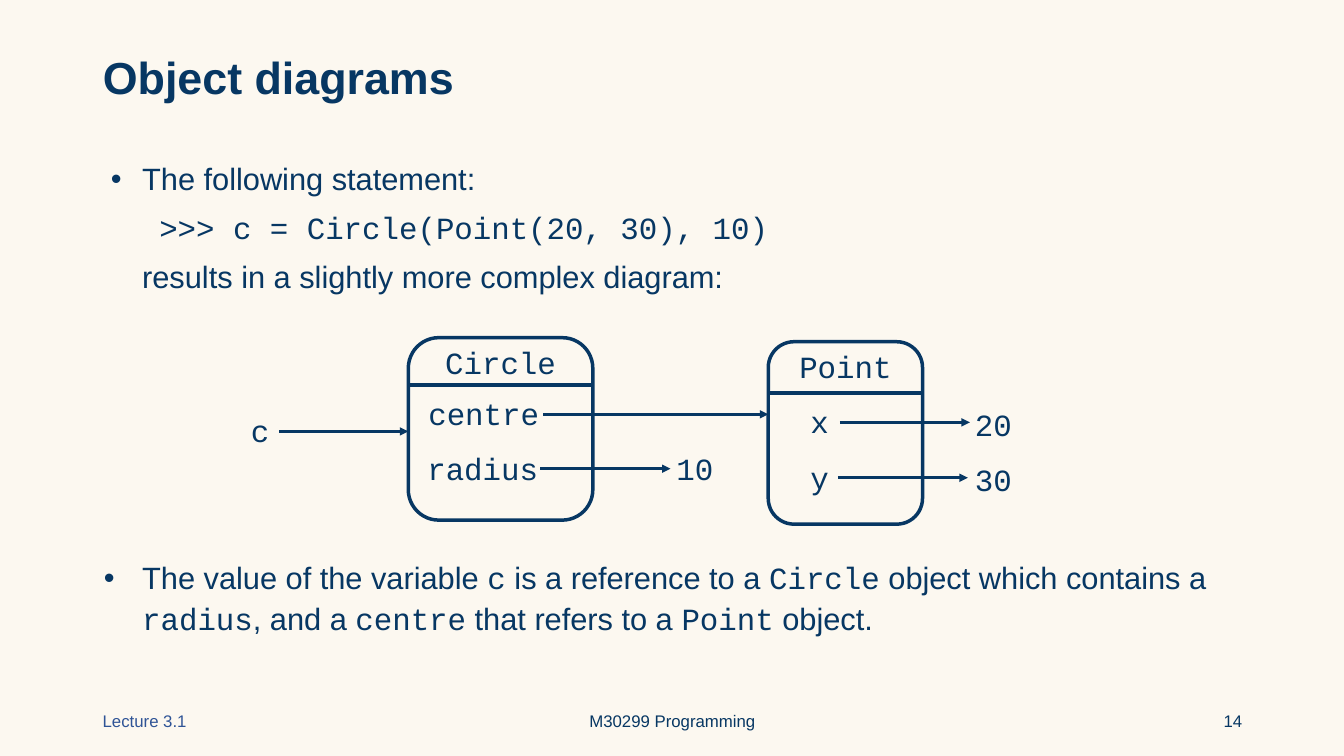
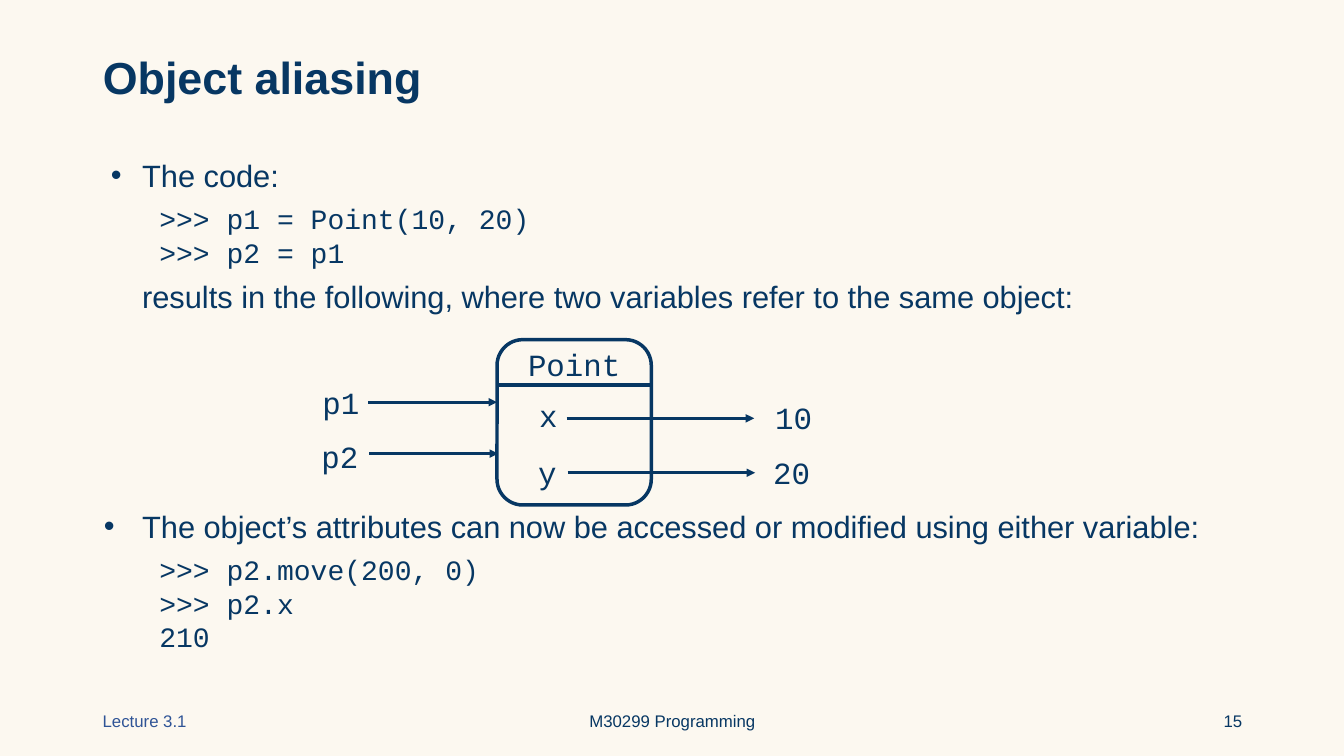
from lxml import etree
from pptx import Presentation
from pptx.dml.color import RGBColor
from pptx.enum.shapes import MSO_CONNECTOR, MSO_SHAPE
from pptx.enum.text import MSO_ANCHOR, MSO_AUTO_SIZE, PP_ALIGN
from pptx.oxml.ns import qn
from pptx.util import Inches, Pt

LEFT, CENTER, RIGHT = PP_ALIGN.LEFT, PP_ALIGN.CENTER, PP_ALIGN.RIGHT
MIDDLE, TOP = MSO_ANCHOR.MIDDLE, MSO_ANCHOR.TOP
NO_AUTOFIT = MSO_AUTO_SIZE.NONE
STRAIGHT = MSO_CONNECTOR.STRAIGHT
ROUNDED = MSO_SHAPE.ROUNDED_RECTANGLE

COLORS = {"background": "FCF8F0", "ink": "073763", "lecture": "2F5496"}
SANS, MONO = "Arial", "Courier New"
BODY_SIZE = 22
MARGIN, CONTENT_WIDTH = 0.92, 11.5
TEXT_INDENT = 0.39
LABEL_HEIGHT = 0.47
BOX_WIDTH = 1.53


def color(name):
    return RGBColor.from_string(COLORS[name])


def place(shape, left, top, width, height):
    shape.left, shape.top = Inches(left), Inches(top)
    shape.width, shape.height = Inches(width), Inches(height)


def style_run(run, size, font=SANS, color_name="ink", bold=False):
    run.font.name = font
    run.font.size = Pt(size)
    run.font.bold = bold
    run.font.color.rgb = color(color_name)


# Shared look: background and placeholder positions
def prepare_layout(presentation):
    fill = presentation.slide_master.background.fill
    fill.solid()
    fill.fore_color.rgb = color("background")
    layout = presentation.slide_layouts[1]
    place(layout.placeholders[0], MARGIN, 0.4, CONTENT_WIDTH, 0.79)
    place(layout.placeholders[1], MARGIN, 1.5, CONTENT_WIDTH, 5.25)
    return layout


def add_text(slide, text, left, top, width, height, size, font=SANS,
             color_name="ink", align=LEFT, anchor=TOP):
    box = slide.shapes.add_textbox(Inches(left), Inches(top),
                                   Inches(width), Inches(height))
    frame = box.text_frame
    frame.word_wrap = True
    frame.vertical_anchor = anchor
    frame.text = text
    paragraph = frame.paragraphs[0]
    paragraph.alignment = align
    style_run(paragraph.runs[0], size, font, color_name)


def add_slide(presentation, layout, title, number):
    slide = presentation.slides.add_slide(layout)
    frame = slide.shapes.title.text_frame
    frame.text = title
    frame.auto_size = NO_AUTOFIT
    frame.vertical_anchor = MIDDLE
    paragraph = frame.paragraphs[0]
    paragraph.alignment = LEFT
    paragraph.line_spacing = 0.9
    style_run(paragraph.runs[0], 32, bold=True)
    # Footer
    for text, left, width, align, color_name in (
            ("Lecture 3.1", MARGIN, 3, LEFT, "lecture"),
            ("M30299 Programming", 4.42, 4.5, CENTER, "ink"),
            (str(number), 9.42, 3, RIGHT, "ink")):
        add_text(slide, text, left, 6.95, width, 0.4, 12,
                 color_name=color_name, align=align, anchor=MIDDLE)
    return slide


# Body paragraphs: each is a dict of text parts and spacing
def bullet(*parts, before=8, hanging=0.38):
    return {"parts": parts, "before": before, "hanging": hanging,
            "size": BODY_SIZE, "font": SANS, "indent": TEXT_INDENT}


def plain(text):
    return {"parts": (text,), "before": 6, "hanging": 0,
            "size": BODY_SIZE, "font": SANS, "indent": TEXT_INDENT}


def code(text, before=0, size=20):
    return {"parts": (text,), "before": before, "hanging": 0,
            "size": size, "font": MONO, "indent": TEXT_INDENT + 0.17}


def set_bullet(paragraph, hanging):
    properties = paragraph._p.get_or_add_pPr()
    if not hanging:
        etree.SubElement(properties, qn("a:buNone"))
        return
    bullet_color = etree.SubElement(properties, qn("a:buClr"))
    etree.SubElement(bullet_color, qn("a:srgbClr"), val=COLORS["ink"])
    etree.SubElement(properties, qn("a:buFont"), typeface=SANS)
    etree.SubElement(properties, qn("a:buChar"), char="•")


def fill_body(slide, items, line_spacing=1.0):
    frame = slide.placeholders[1].text_frame
    frame.auto_size = NO_AUTOFIT
    for index, item in enumerate(items):
        paragraph = frame.add_paragraph() if index else frame.paragraphs[0]
        paragraph.alignment = LEFT
        paragraph.line_spacing = line_spacing
        paragraph.space_before = Pt(item["before"])
        paragraph.space_after = Pt(0)
        properties = paragraph._p.get_or_add_pPr()
        properties.set("marL", str(Inches(item["indent"])))
        properties.set("indent", str(-Inches(item["hanging"])))
        set_bullet(paragraph, item["hanging"])
        # Parts alternate between prose and code words
        for position, text in enumerate(item["parts"]):
            run = paragraph.add_run()
            run.text = text
            style_run(run, item["size"], MONO if position % 2 else item["font"])


# Diagram elements
def add_label(slide, text, left, top):
    width = round(0.24 + 0.19 * len(text), 2)
    add_text(slide, text, left, top, width, LABEL_HEIGHT, BODY_SIZE, MONO)


def add_line(slide, x1, y1, x2, y2, width, arrow=False):
    connector = slide.shapes.add_connector(
        STRAIGHT, Inches(x1), Inches(y1), Inches(x2), Inches(y2))
    connector.line.color.rgb = color("ink")
    connector.line.width = Pt(width)
    if arrow:
        etree.SubElement(connector.line._get_or_add_ln(), qn("a:tailEnd"),
                         type="triangle")
    etree.SubElement(connector._element.spPr, qn("a:effectLst"))


def add_arrow(slide, left, y, right):
    add_line(slide, left, y, right, y, 2, arrow=True)


def add_object_box(slide, name, left, top, height, divider, width=BOX_WIDTH):
    box = slide.shapes.add_shape(ROUNDED, Inches(left), Inches(top),
                                 Inches(width), Inches(height))
    box.adjustments[0] = 0.167
    box.shadow.inherit = False
    box.fill.background()
    box.line.color.rgb = color("ink")
    box.line.width = Pt(2.5)
    add_line(slide, left, divider, left + width, divider, 2.5)
    add_text(slide, name, left, top + 0.01, width, LABEL_HEIGHT,
             BODY_SIZE, MONO, align=CENTER)


def draw_diagram(slide, boxes, labels, arrows):
    for box in boxes:
        add_object_box(slide, *box)
    for label in labels:
        add_label(slide, *label)
    for arrow in arrows:
        add_arrow(slide, *arrow)


def build_object_diagrams(presentation, layout):
    slide = add_slide(presentation, layout, "Object diagrams", 14)
    fill_body(slide, [
        bullet("The following statement:", hanging=0.31),
        code(">>> c = Circle(Point(20, 30), 10)", before=6, size=BODY_SIZE),
        plain("results in a slightly more complex diagram:"),
        bullet("The value of the variable ", "c", " is a reference to a ",
               "Circle", " object which contains a ", "radius", ", and a ",
               "centre", " that refers to a ", "Point", " object.",
               before=186),
    ], line_spacing=1.1)
    draw_diagram(
        slide,
        boxes=[("Circle", 4.05, 3.35, 1.81, 3.82, 1.83),
               ("Point", 7.62, 3.39, 1.81, 3.9)],
        labels=[("c", 2.39, 4.04), ("centre", 4.15, 3.87),
                ("radius", 4.14, 4.41), ("10", 6.61, 4.41),
                ("x", 7.94, 3.95), ("y", 7.94, 4.5),
                ("20", 9.57, 3.98), ("30", 9.57, 4.52)],
        arrows=[(2.77, 4.28, 4.05), (5.39, 4.11, 7.62), (5.36, 4.65, 6.65),
                (8.33, 4.19, 9.62), (8.31, 4.74, 9.6)])


def build_object_aliasing(presentation, layout):
    slide = add_slide(presentation, layout, "Object aliasing", 15)
    fill_body(slide, [
        bullet("The code:", hanging=0.31),
        code(">>> p1 = Point(10, 20)", before=6),
        code(">>> p2 = p1"),
        plain("results in the following, where two variables refer to "
              "the same object:"),
        bullet("The object’s attributes can now be accessed or modified "
               "using either variable:", before=138),
        code(">>> p2.move(200, 0)", before=6),
        code(">>> p2.x"),
        code("210"),
    ])
    draw_diagram(
        slide,
        boxes=[("Point", 4.93, 3.37, 1.64, 3.82)],
        labels=[("p1", 3.1, 3.76), ("p2", 3.09, 4.29),
                ("x", 5.25, 3.89), ("y", 5.24, 4.45),
                ("10", 7.59, 3.91), ("20", 7.57, 4.45)],
        arrows=[(3.65, 3.99, 4.93), (3.66, 4.5, 4.94),
                (5.62, 4.15, 7.48), (5.63, 4.69, 7.49)])


def main():
    presentation = Presentation()
    presentation.slide_width = Inches(13.33)
    presentation.slide_height = Inches(7.5)
    layout = prepare_layout(presentation)
    build_object_diagrams(presentation, layout)
    build_object_aliasing(presentation, layout)
    presentation.save("out.pptx")


if __name__ == "__main__":
    main()
